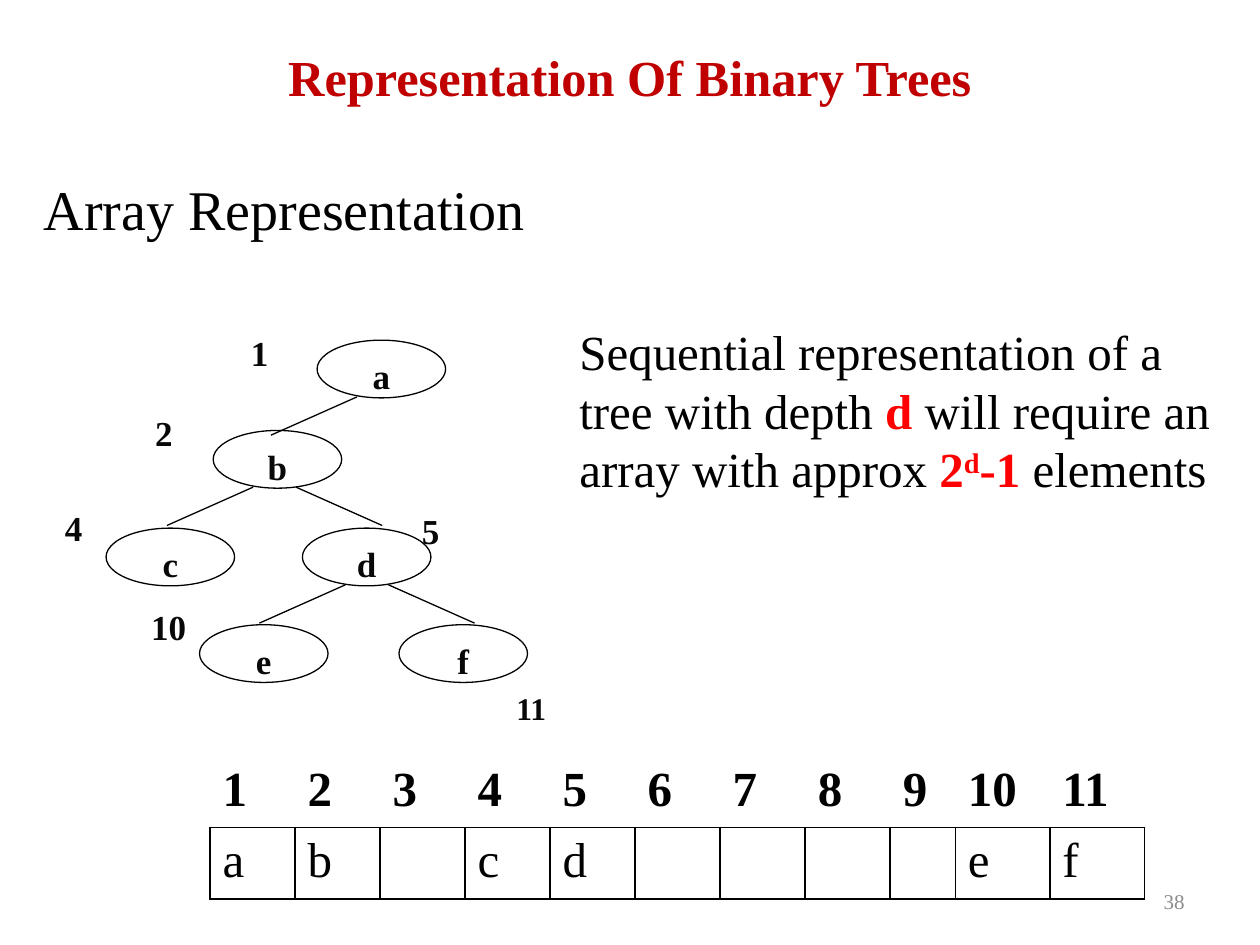
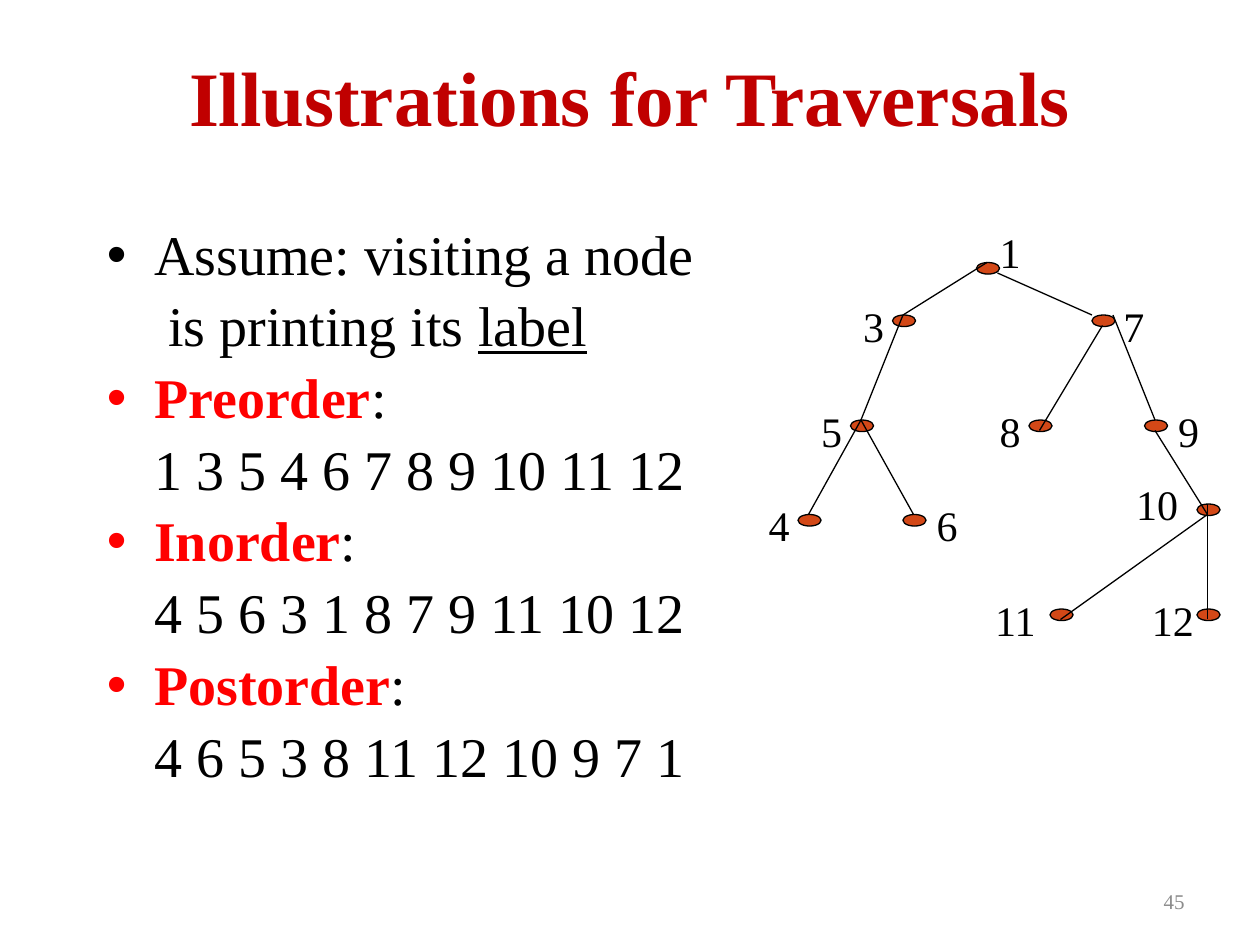
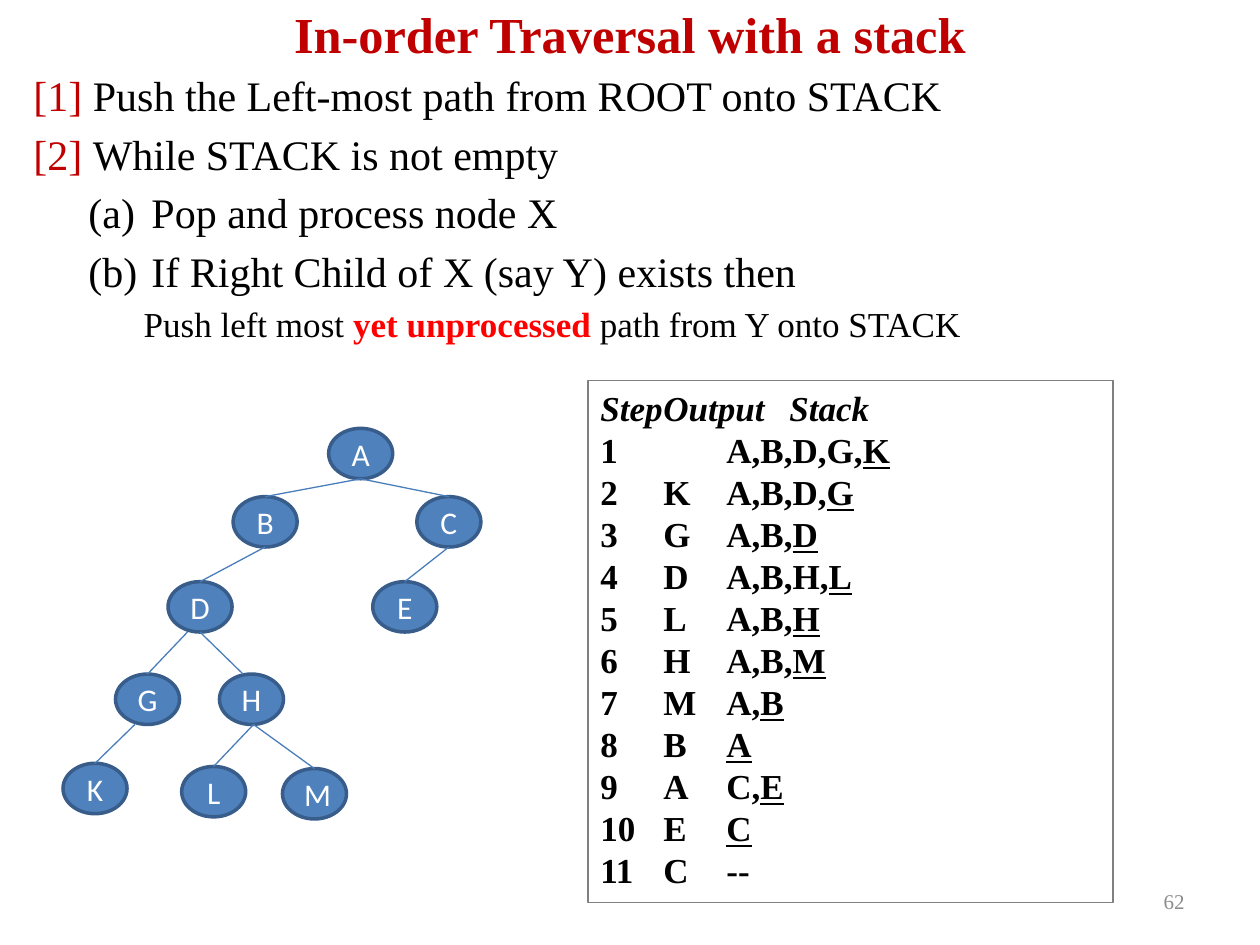
from dataclasses import dataclass
from typing import NamedTuple, Optional

import pptx
import pptx.dml.color
import pptx.enum.shapes
import pptx.enum.text
import pptx.oxml.ns
import pptx.util
from lxml import etree

RGBColor = pptx.dml.color.RGBColor
Align = pptx.enum.text.PP_ALIGN
Anchor = pptx.enum.text.MSO_ANCHOR
Preset = pptx.enum.shapes.MSO_SHAPE
qn = pptx.oxml.ns.qn

BLACK = RGBColor(0x00, 0x00, 0x00)
NEAR_BLACK = RGBColor(0x08, 0x08, 0x08)
WHITE = RGBColor(0xFF, 0xFF, 0xFF)
DARK_RED = RGBColor(0xC0, 0x00, 0x00)
RED = RGBColor(0xFF, 0x00, 0x00)
ORANGE = RGBColor(0xD3, 0x48, 0x17)
BLUE = RGBColor(0x4F, 0x81, 0xBD)
BLUE_OUTLINE = RGBColor(0x38, 0x5D, 0x8A)
BLUE_EDGE = RGBColor(0x4A, 0x7E, 0xBB)
BOX_GRAY = RGBColor(0x80, 0x80, 0x80)
NUMBER_GRAY = RGBColor(0x8C, 0x8C, 0x8C)

SERIF = "Times New Roman"
SANS = "Calibri"

COLUMNS, ROWS = 120, 90  # square cells on a 10 by 7.5 inch slide
SLIDE_WIDTH = pptx.util.Inches(10)
SLIDE_HEIGHT = pptx.util.Inches(7.5)
TITLE_ONLY = 5
HANG = 4.5  # hanging indent of body text, in cells


class Box(NamedTuple):
    left: float
    top: float
    width: float
    height: float


class Edge(NamedTuple):
    x1: float
    y1: float
    x2: float
    y2: float


class Run(NamedTuple):
    text: str
    color: RGBColor = BLACK
    bold: bool = False
    italic: bool = False
    underline: bool = False
    superscript: bool = False


@dataclass(frozen=True)
class Line:
    """One paragraph; indents and tab stops are in grid cells."""
    runs: tuple[Run, ...]
    size: float
    font: str = SERIF
    align: Align = Align.LEFT
    left: float = 0
    first: float = 0
    before: float = 0
    spacing: Optional[float] = None
    bullet: Optional[str] = None
    numbering: Optional[str] = None
    tabs: tuple[float, ...] = ()


@dataclass(frozen=True)
class NodeStyle:
    width: float
    height: float
    fill: Optional[RGBColor]
    outline: RGBColor
    outline_width: float
    text_color: RGBColor = BLACK
    size: float = 20
    font: str = SERIF
    bold: bool = False
    anchor: Anchor = Anchor.TOP


def cells(count: float) -> pptx.util.Emu:
    return pptx.util.Emu(round(SLIDE_WIDTH * count / COLUMNS))


def place(shape, box: Box) -> None:
    shape.left, shape.top, shape.width, shape.height = map(cells, box)


def format_paragraph(paragraph, line: Line) -> None:
    paragraph.alignment = line.align
    if line.spacing:
        paragraph.line_spacing = line.spacing
    paragraph.space_before = pptx.util.Pt(line.before)
    properties = paragraph._p.get_or_add_pPr()
    properties.set("marL", str(cells(line.left)))
    properties.set("indent", str(cells(line.first)))
    if line.bullet:
        etree.SubElement(properties, qn("a:buFont")).set("typeface", "Arial")
        etree.SubElement(properties, qn("a:buChar")).set("char", line.bullet)
    elif line.numbering:
        etree.SubElement(properties, qn("a:buAutoNum")).set("type", line.numbering)
    else:
        etree.SubElement(properties, qn("a:buNone"))
    if line.tabs:
        stops = etree.SubElement(properties, qn("a:tabLst"))
        for position in line.tabs:
            etree.SubElement(stops, qn("a:tab"), pos=str(cells(position)), algn="l")


def write(text_frame, lines: list[Line], anchor: Anchor = Anchor.TOP) -> None:
    text_frame.word_wrap = True
    text_frame.vertical_anchor = anchor
    for index, line in enumerate(lines):
        paragraph = text_frame.add_paragraph() if index else text_frame.paragraphs[0]
        format_paragraph(paragraph, line)
        for piece in line.runs:
            run = paragraph.add_run()
            run.text = piece.text
            font = run.font
            font.name, font.size = line.font, pptx.util.Pt(line.size)
            font.bold, font.italic = piece.bold, piece.italic
            font.underline = piece.underline
            font.color.rgb = piece.color
            if piece.superscript:
                run._r.get_or_add_rPr().set("baseline", "30000")


def add_text(slide, box: Box, lines: list[Line], anchor: Anchor = Anchor.TOP) -> None:
    shape = slide.shapes.add_textbox(*map(cells, box))
    write(shape.text_frame, lines, anchor)


def add_outlined(slide, preset: Preset, box: Box, fill: Optional[RGBColor],
                 outline: RGBColor, outline_width: float):
    shape = slide.shapes.add_shape(preset, *map(cells, box))
    shape.shadow.inherit = False
    if fill is None:
        shape.fill.background()
    else:
        shape.fill.solid()
        shape.fill.fore_color.rgb = fill
    shape.line.color.rgb = outline
    shape.line.width = pptx.util.Pt(outline_width)
    return shape


def add_node(slide, left: float, top: float, style: NodeStyle, label: str = "") -> None:
    shape = add_outlined(slide, Preset.OVAL, Box(left, top, style.width, style.height),
                         style.fill, style.outline, style.outline_width)
    if label:
        run = Run(label, style.text_color, bold=style.bold)
        line = Line((run,), style.size, style.font, Align.CENTER)
        write(shape.text_frame, [line], style.anchor)


def add_edge(slide, edge: Edge, color: RGBColor = BLACK) -> None:
    connector = slide.shapes.add_connector(
        pptx.enum.shapes.MSO_CONNECTOR.STRAIGHT, *map(cells, edge))
    connector.line.color.rgb = color
    connector.line.width = pptx.util.Pt(0.75)
    etree.SubElement(connector._element.spPr, qn("a:effectLst"))


def add_titled_slide(presentation, title: str, box: Box, size: float, number: int):
    slide = presentation.slides.add_slide(presentation.slide_layouts[TITLE_ONLY])
    place(slide.shapes.title, box)
    title_line = Line((Run(title, DARK_RED, bold=True),), size, align=Align.CENTER)
    write(slide.shapes.title.text_frame, [title_line], Anchor.MIDDLE)
    number_line = Line((Run(str(number), NUMBER_GRAY),), 12, align=Align.RIGHT)
    add_text(slide, Box(86, 83.4, 28, 4.8), [number_line], Anchor.MIDDLE)
    return slide


def add_cell_borders(cell, sides: tuple[str, ...]) -> None:
    properties = cell._tc.get_or_add_tcPr()
    for index, side in enumerate(sides):
        border = etree.Element(qn(f"a:ln{side}"), w=str(pptx.util.Pt(1)))
        fill = etree.SubElement(border, qn("a:solidFill"))
        etree.SubElement(fill, qn("a:srgbClr")).set("val", str(BLACK))
        properties.insert(index, border)


def add_array_table(slide, values: dict[int, str]) -> None:
    """Draw the indices above a row of bordered array cells."""
    widths = [8.1] * 8 + [6.2, 9, 9]
    box = Box(20, 72, sum(widths), 13.6)
    table = slide.shapes.add_table(2, len(widths), *map(cells, box)).table
    table.first_row = table.horz_banding = False
    for column, width in enumerate(widths):
        table.columns[column].width = cells(width)
        index = column + 1
        entries = (Run(str(index), bold=True), Run(values.get(index, "")))
        for row, (entry, sides) in enumerate(zip(entries, (("B",), ("L", "R", "T", "B")))):
            cell = table.cell(row, column)
            cell.fill.background()
            add_cell_borders(cell, sides)
            if entry.text:
                write(cell.text_frame, [Line((entry,), 28)])


def build_array_slide(presentation) -> None:
    slide = add_titled_slide(presentation, "Representation Of Binary Trees",
                             Box(6, 3.6, 108, 7.4), 28.8, 38)
    add_text(slide, Box(3, 16, 108, 9), [Line((Run("Array Representation"),), 32)])

    style = NodeStyle(12.24, 5.5, None, BLACK, 0.75, NEAR_BLACK, bold=True)
    nodes = {"a": (30.2, 32.4), "b": (20.3, 41), "c": (10.1, 50.3),
             "d": (28.8, 50.3), "e": (19, 59.5), "f": (38, 59.5)}
    for label, (left, top) in nodes.items():
        add_node(slide, left, top, style, label)

    run_across, run_down = 8.2, 3.65
    branches = [(34, 37.8, -1), (24.1, 46.4, -1), (28.2, 46.4, 1),
                (32.9, 55.7, -1), (37, 55.7, 1)]
    for x, y, direction in branches:
        add_edge(slide, Edge(x, y, x + direction * run_across, y + run_down))

    indices = [("1", 22.7, 31, 20), ("2", 13.6, 38.6, 20), ("4", 5, 47.6, 20),
               ("5", 39, 47.9, 20), ("10", 13.2, 57.1, 20), ("11", 48, 65, 18)]
    for label, left, top, size in indices:
        add_text(slide, Box(left, top, 15, 4),
                 [Line((Run(label, NEAR_BLACK, bold=True),), size)])

    add_array_table(slide, {1: "a", 2: "b", 4: "c", 5: "d", 10: "e", 11: "f"})
    size_rule = (
        Run("Sequential representation of a tree with depth "),
        Run("d ", RED, bold=True),
        Run("will require an array with approx "),
        Run("2", RED, bold=True),
        Run("d", RED, bold=True, superscript=True),
        Run("-1 ", RED, bold=True),
        Run("elements"),
    )
    add_text(slide, Box(54, 30, 64, 23.9), [Line(size_rule, 28)])


def build_traversals_slide(presentation) -> None:
    slide = add_titled_slide(presentation, "Illustrations for Traversals",
                             Box(6, 3.6, 108, 11), 44, 45)

    def body_line(*runs: Run, bullet: Optional[str] = None, left: float = HANG,
                  before: float = 6.4) -> Line:
        return Line(runs, 32, left=left, first=-HANG if bullet else 0,
                    before=before, spacing=0.9, bullet=bullet)

    lines = [
        body_line(Run("Assume: visiting a node"), bullet="•", before=0),
        body_line(Run("is printing its "), Run("label", underline=True), left=HANG + 1.33),
    ]
    orders = {"Preorder": "1 3 5 4 6 7 8 9 10 11 12",
              "Inorder": "4 5 6 3 1 8 7 9 11 10 12",
              "Postorder": "4 6 5 3 8 11 12 10 9 7 1"}
    for name, sequence in orders.items():
        lines.append(body_line(Run(name, RED, bold=True), Run(":"), bullet="•"))
        lines.append(body_line(Run(sequence)))
    add_text(slide, Box(9, 21, 102, 59), lines)

    dot = NodeStyle(2.2, 1.1, ORANGE, BLACK, 0.75)
    dots = [(93, 25), (85, 30), (104, 30), (81, 40), (98, 40), (114, 48),
            (109, 40), (100, 58), (86, 49), (76, 49), (114, 58)]
    for left, top in dots:
        add_node(slide, left, top, dot)

    labels = {"1": (94, 21), "3": (81, 28), "7": (105.8, 28), "5": (77, 38),
              "8": (94, 38), "9": (111, 38), "4": (72, 47), "6": (88, 47),
              "10": (106.5, 45), "11": (93, 56), "12": (108, 56)}
    for label, (left, top) in labels.items():
        add_text(slide, Box(left, top, 4.4 if len(label) == 1 else 7.4, 6),
                 [Line((Run(label),), 24, align=Align.CENTER)])

    edges = [Edge(94, 25, 86, 30), Edge(95, 26, 104, 30), Edge(86, 30, 82, 40),
             Edge(105, 31, 99, 41), Edge(106, 30, 110, 40), Edge(82, 40, 77, 49),
             Edge(82, 40, 87, 49), Edge(110, 41, 115, 49), Edge(115, 49, 101, 59),
             Edge(115, 48, 115, 59)]
    for edge in edges:
        add_edge(slide, edge)


def add_stack_tree(slide) -> None:
    style = NodeStyle(6.1, 4.8, BLUE, BLUE_OUTLINE, 2, WHITE, 18, SANS,
                      anchor=Anchor.MIDDLE)
    nodes = {"A": (31.3, 40.8), "B": (22.2, 47.3), "C": (39.7, 47.3), "D": (16, 55.4),
             "E": (35.5, 55.4), "G": (11, 64.2), "H": (20.9, 64.2), "K": (6, 72.7),
             "L": (17.3, 73), "M": (26.9, 73.2)}
    for label, (left, top) in nodes.items():
        add_node(slide, left, top, style, label)
    # parent and child, with the sideways shift of each end from the node's middle
    links = [("AB", 0, 0), ("AC", 0, 0), ("BD", 0, 0), ("CE", 0, 0), ("DG", -1.2, 0),
             ("DH", 0, -0.8), ("GK", -1.2, 0), ("HL", 0.2, 0), ("HM", 0.2, 0)]
    middle = style.width / 2
    for (parent, child), start_shift, end_shift in links:
        (x1, y1), (x2, y2) = nodes[parent], nodes[child]
        add_edge(slide, Edge(x1 + middle + start_shift, y1 + style.height,
                             x2 + middle + end_shift, y2), BLUE_EDGE)


def add_step_box(slide) -> None:
    """List each step with its output and stack, the stack's top underlined."""
    outputs = ["", "K", "G", "D", "L", "H", "M", "B", "A", "E", "C"]
    stacks = ["A,B,D,G,K", "A,B,D,G", "A,B,D", "A,B,H,L", "A,B,H", "A,B,M",
              "A,B", "A", "C,E", "C", "--"]
    rows = [(Run("Step\tOutput\tStack", bold=True, italic=True),)]
    for step, (output, stack) in enumerate(zip(outputs, stacks), start=1):
        start = f"{step}\t{output}\t"
        if stack == "--":
            rows.append((Run(start + stack, bold=True),))
        else:
            rows.append((Run(start + stack[:-1], bold=True),
                         Run(stack[-1], bold=True, underline=True)))
    shape = add_outlined(slide, Preset.RECTANGLE, Box(56, 36.25, 50, 49.7),
                         None, BOX_GRAY, 0.75)
    write(shape.text_frame, [Line(row, 20, tabs=(10, 25)) for row in rows])


def build_stack_slide(presentation) -> None:
    slide = add_titled_slide(presentation, "In-order Traversal with a stack",
                             Box(6, 0, 108, 6.4), 28.8, 62)
    add_stack_tree(slide)
    add_step_box(slide)
    lines = [
        Line((Run("[1] ", DARK_RED), Run("Push the Left-most path from ROOT onto STACK")),
             24, left=HANG, first=-HANG),
        Line((Run("[2] ", DARK_RED), Run("While STACK is not empty")),
             24, left=HANG, first=-HANG, before=4.8),
    ]
    for step in ("Pop and process node X", "If Right Child of X (say Y) exists then"):
        lines.append(Line((Run(step),), 24, left=11.25, first=-6, before=4.8,
                          numbering="alphaLcParenBoth"))
    lines.append(Line((Run("Push left most "), Run("yet unprocessed", RED, bold=True),
                       Run(" path from Y onto STACK")), 20, left=10.5, before=4))
    add_text(slide, Box(2, 6, 117, 34), lines)


def main() -> None:
    presentation = pptx.Presentation()
    presentation.slide_width = SLIDE_WIDTH
    presentation.slide_height = SLIDE_HEIGHT
    build_array_slide(presentation)
    build_traversals_slide(presentation)
    build_stack_slide(presentation)
    presentation.save("out.pptx")


if __name__ == "__main__":
    main()
